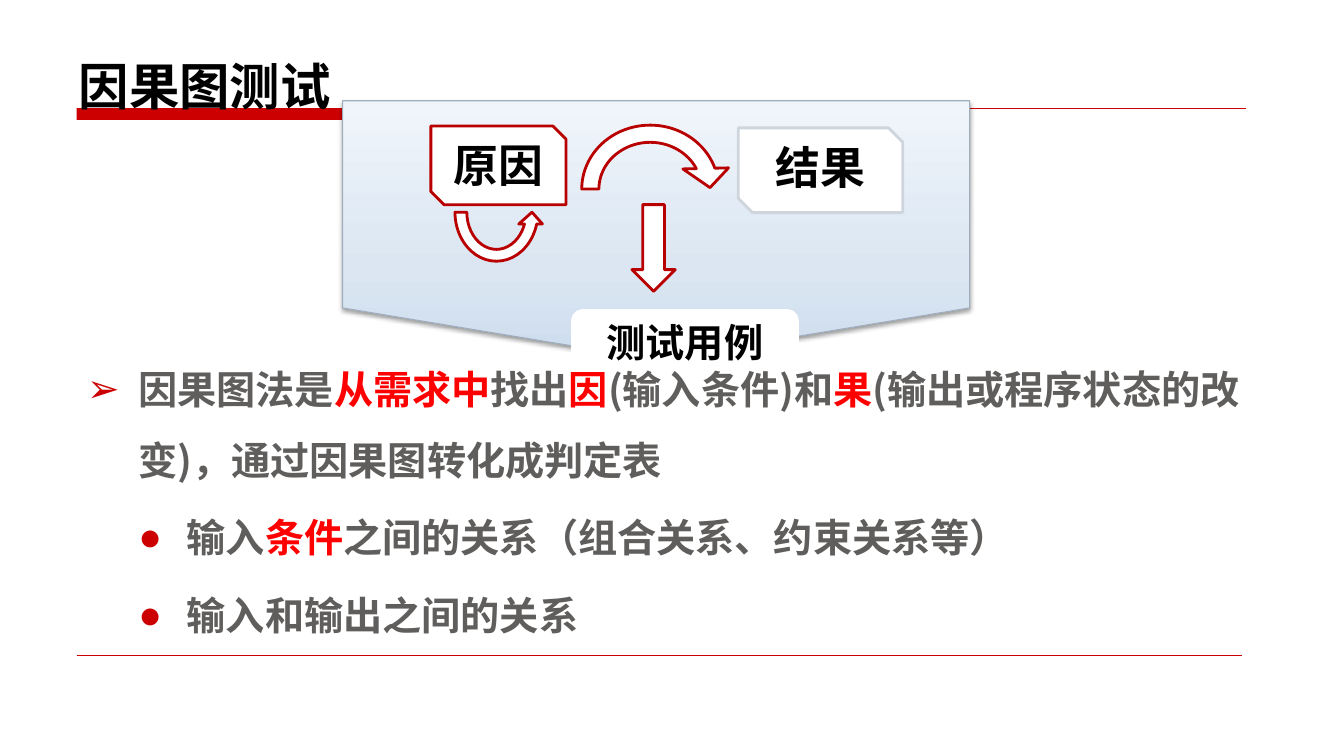
from lxml.etree import SubElement
from pptx import Presentation
from pptx.dml.color import RGBColor
from pptx.enum.shapes import MSO_CONNECTOR, MSO_SHAPE
from pptx.enum.text import MSO_ANCHOR, MSO_AUTO_SIZE, PP_ALIGN
from pptx.oxml.ns import qn
from pptx.util import Pt

FONT = "Noto Sans CJK SC"
RED, DARK_RED, HIGHLIGHT = "CC0000", "B90000", "FF0000"
BLACK, WHITE, GREY = "000000", "FFFFFF", "5F5E5C"


def color(value):
    return RGBColor.from_string(value)


def add_element(parent, tag, **attributes):
    element = SubElement(parent, qn(tag))
    for name, value in attributes.items():
        element.set(name, str(value))
    return element


def apply_format(target, values):
    for name, value in values.items():
        setattr(target, name, value)


class SlideBuilder:
    """Holds the text style and the slide being built."""

    def __init__(self, slide, font):
        self.slide = slide
        self.font = font

    def run(self, paragraph, text, size, text_color):
        run = paragraph.add_run()
        run.text = text
        apply_format(run.font, {"name": self.font, "size": Pt(size), "bold": True})
        run.font.color.rgb = color(text_color)
        add_element(run.font._element, "a:ea", typeface=self.font)

    def line(self, left, right, y, width):
        line = self.slide.shapes.add_connector(
            MSO_CONNECTOR.STRAIGHT, Pt(left), Pt(y), Pt(right), Pt(y))
        line.line.color.rgb = color(RED)
        line.line.width = Pt(width)
        add_element(line.element.spPr, "a:effectLst")

    def shape(self, kind, box, fill=WHITE, outline=DARK_RED, width=2, text="", size=32):
        shape = self.slide.shapes.add_shape(kind, *map(Pt, box))
        shape.shadow.inherit = False
        shape.fill.solid()
        shape.fill.fore_color.rgb = color(fill)
        shape.line.color.rgb = color(outline)
        shape.line.width = Pt(width)
        if text:
            apply_format(shape.text_frame, {"word_wrap": True,
                                            "vertical_anchor": MSO_ANCHOR.TOP})
            paragraph = shape.text_frame.paragraphs[0]
            paragraph.alignment = PP_ALIGN.CENTER
            self.run(paragraph, text, size, BLACK)
        return shape

    def panel(self, box, stops):
        """Draw the gradient backdrop with a soft shadow below it."""
        panel = self.shape(MSO_SHAPE.FLOWCHART_OFFPAGE_CONNECTOR, box,
                           outline="9FAEBD", width=0.75)
        properties = panel.element.spPr
        solid = properties.find(qn("a:solidFill"))
        gradient = add_element(properties, "a:gradFill", rotWithShape=1)
        properties.replace(solid, gradient)
        stop_list = add_element(gradient, "a:gsLst")
        for position, value in stops:
            stop = add_element(stop_list, "a:gs", pos=position * 1000)
            add_element(stop, "a:srgbClr", val=value)
        add_element(gradient, "a:lin", ang=270 * 60000, scaled=0)
        shadow = add_element(properties.find(qn("a:effectLst")), "a:outerShdw",
                             blurRad=Pt(3.1), dist=Pt(1.6), dir=90 * 60000, rotWithShape=0)
        shadow_color = add_element(shadow, "a:srgbClr", val=BLACK)
        add_element(shadow_color, "a:alpha", val=38000)

    def curved_arrow(self, box, adjustments, **flips):
        arrow = self.shape(MSO_SHAPE.CIRCULAR_ARROW, box)
        arrow.rotation = 180
        for index, value in enumerate(adjustments):
            arrow.adjustments[index] = value
        for name, value in flips.items():
            arrow.element.spPr.xfrm.set(name, value)

    def placeholder(self, shape, box, anchor):
        """Move a placeholder to its box, in front of everything drawn so far."""
        left, top, width, height = map(Pt, box)
        apply_format(shape, {"left": left, "top": top, "width": width, "height": height})
        apply_format(shape.text_frame, {"word_wrap": True, "vertical_anchor": anchor,
                                        "auto_size": MSO_AUTO_SIZE.NONE})
        shape.element.getparent().append(shape.element)
        return shape.text_frame

    def title(self, text, box):
        frame = self.placeholder(self.slide.shapes.title, box, MSO_ANCHOR.BOTTOM)
        paragraph = frame.paragraphs[0]
        paragraph.alignment = PP_ALIGN.LEFT
        self.run(paragraph, text, 36, BLACK)

    def bullets(self, items, box):
        """Fill the body; each item is a level and its (text, colour) runs."""
        frame = self.placeholder(self.slide.placeholders[1], box, MSO_ANCHOR.BOTTOM)
        apply_format(frame, {"margin_top": 0, "margin_bottom": 0})
        levels = [("➢", 36.7, 36.7), ("●", 71.3, 34.6)]
        for index, (level, runs) in enumerate(items):
            paragraph = frame.add_paragraph() if index else frame.paragraphs[0]
            apply_format(paragraph, {"level": level, "line_spacing": 1.5,
                                     "space_before": Pt(5 if index else 0)})
            symbol, margin, hanging = levels[level]
            properties = paragraph._p.get_or_add_pPr()
            properties.set("marL", str(Pt(margin)))
            properties.set("indent", str(-Pt(hanging)))
            bullet_color = add_element(properties, "a:buClr")
            add_element(bullet_color, "a:srgbClr", val=RED)
            add_element(properties, "a:buChar", char=symbol)
            for text, text_color in runs:
                self.run(paragraph, text, 28, text_color)


def main():
    presentation = Presentation()
    presentation.slide_width, presentation.slide_height = Pt(960), Pt(540)
    slide = presentation.slides.add_slide(presentation.slide_layouts[1])
    builder = SlideBuilder(slide, FONT)

    title_bar = builder.shape(MSO_SHAPE.RECTANGLE, (54.7, 77.3, 489, 8.4), fill=RED)
    title_bar.line.fill.background()
    builder.line(54.7, 890, 77.3, 0.75)
    builder.line(54.7, 887, 468.3, 0.25)

    builder.panel((244.8, 72, 447.8, 185),
                  [(0, "CCDCEE"), (35, "DBE6F2"), (100, "F0F5FB")])
    builder.shape(MSO_SHAPE.SNIP_2_DIAG_RECTANGLE, (307.8, 90, 96.5, 56.2), text="原因")
    builder.shape(MSO_SHAPE.SNIP_2_DIAG_RECTANGLE, (527.4, 91.4, 117.4, 60.5),
                  outline="CED5DD", text="结果")
    builder.shape(MSO_SHAPE.DOWN_ARROW, (451.4, 146.2, 31, 61.9))
    builder.shape(MSO_SHAPE.ROUNDED_RECTANGLE, (409, 221.8, 160.6, 42.5),
                  outline=WHITE, text="测试用例", size=28)
    builder.curved_arrow((320.8, 112.3, 67.7, 78.5),
                         (0.125, 11.42, 204.58, 108, 0.125), flipH="1")
    builder.curved_arrow((405.4, 79.2, 118.1, 111.6),
                         (0.11, 11.42, 203.78, 108, 0.146), flipH="1", flipV="1")

    builder.title("因果图测试", (49, 20.6, 840.2, 65.5))
    builder.bullets([
        (0, [("因果图法是", GREY), ("从需求中", HIGHLIGHT), ("找出", GREY),
             ("因", HIGHLIGHT), ("(输入条件)和", GREY), ("果", HIGHLIGHT),
             ("(输出或程序状态的改变)，通过因果图转化成判定表", GREY)]),
        (1, [("输入", GREY), ("条件", HIGHLIGHT),
             ("之间的关系（组合关系、约束关系等）", GREY)]),
        (1, [("输入和输出之间的关系", GREY)]),
    ], (54.9, 246, 840.2, 209.8))
    presentation.save("out.pptx")


if __name__ == "__main__":
    main()
